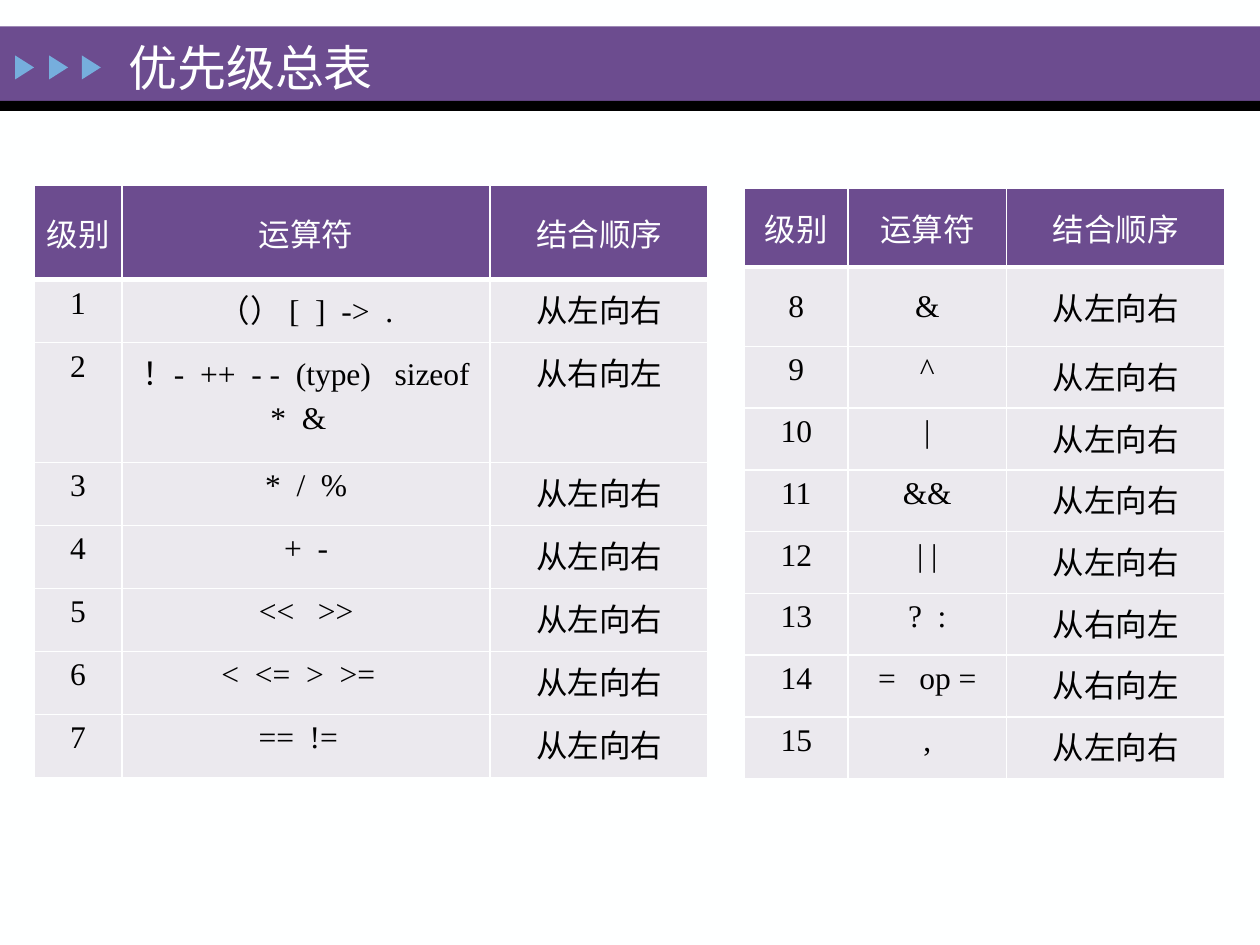
import pptx
import pptx.util
import pptx.dml.color
import pptx.enum.shapes
import pptx.enum.text
import pptx.oxml
import pptx.oxml.ns

Inches, Pt = pptx.util.Inches, pptx.util.Pt
MIDDLE = pptx.enum.text.MSO_ANCHOR.MIDDLE
TOP = pptx.enum.text.MSO_ANCHOR.TOP
SHAPES = pptx.enum.shapes.MSO_SHAPE

# Content
TITLE = "优先级总表"
HEADER = ("级别", "运算符", "结合顺序")
LEFT_TO_RIGHT, RIGHT_TO_LEFT = "从左向右", "从右向左"
TABLES = [
    {
        "at": (0.27, 1.47),
        "columns": (0.7, 2.92, 1.73),
        "heights": (0.75, 0.5, 0.95) + (0.5,) * 5,
        "middle_rows": 1,
        "rows": [
            ("1", "（） [  ]  ->  .", LEFT_TO_RIGHT),
            ("2", "！-  ++  - -  (type)   sizeof\n*  &  ", RIGHT_TO_LEFT),
            ("3", "*  /  %", LEFT_TO_RIGHT),
            ("4", "+  -", LEFT_TO_RIGHT),
            ("5", "<<   >>", LEFT_TO_RIGHT),
            ("6", "<  <=  >  >=  ", LEFT_TO_RIGHT),
            ("7", "==  !=  ", LEFT_TO_RIGHT),
        ],
    },
    {
        "at": (5.91, 1.49),
        "columns": (0.82, 1.26, 1.73),
        "heights": (0.63, 0.63) + (0.49,) * 7,
        "middle_rows": 2,
        "rows": [
            ("8", "&", LEFT_TO_RIGHT),
            ("9", "^", LEFT_TO_RIGHT),
            ("10", "|", LEFT_TO_RIGHT),
            ("11", "&&", LEFT_TO_RIGHT),
            ("12", "| |", LEFT_TO_RIGHT),
            ("13", "?  :", RIGHT_TO_LEFT),
            ("14", "=   op =", RIGHT_TO_LEFT),
            ("15", ",", LEFT_TO_RIGHT),
        ],
    },
]

# Style
FONT = "Times New Roman"
COLORS = {"white": "FEFFFF", "black": "000000", "purple": "6C4C8F",
          "blue": "76AEDD", "cell": "EBE9EE"}


def color(name):
    return pptx.dml.color.RGBColor.from_string(COLORS[name])


def set_font(paragraph, size, color_name):
    paragraph.font.name = FONT
    paragraph.font.size = Pt(size)
    paragraph.font.color.rgb = color(color_name)


def add_block(slide, kind, box, fill):
    shape = slide.shapes.add_shape(kind, *map(Inches, box))
    shape.shadow.inherit = False
    shape.fill.solid()
    shape.fill.fore_color.rgb = color(fill)
    shape.line.fill.background()
    return shape


def set_borders(cell, widths):
    properties = cell._tc.get_or_add_tcPr()
    for index, (side, width) in enumerate(widths.items()):
        properties.insert(index, pptx.oxml.parse_xml(
            f'<a:ln{side} {pptx.oxml.ns.nsdecls("a")} w="{Pt(width)}">'
            f'<a:solidFill><a:srgbClr val="{COLORS["white"]}"/></a:solidFill>'
            f'</a:ln{side}>'))


def fill_cell(cell, text, row_index, middle_rows):
    is_header = row_index == 0
    cell.text = text
    cell.vertical_anchor = MIDDLE if row_index < middle_rows else TOP
    for index, paragraph in enumerate(cell.text_frame.paragraphs):
        paragraph.alignment = pptx.enum.text.PP_ALIGN.CENTER
        set_font(paragraph, 18, "white" if is_header else "black")
        if index:
            paragraph.space_before = Pt(3.6)
    cell.fill.solid()
    cell.fill.fore_color.rgb = color("purple" if is_header else "cell")
    set_borders(cell, {"L": 1, "R": 1, "T": 3 if row_index == 1 else 1,
                       "B": 3 if is_header else 1})


def add_operator_table(slide, data):
    rows = [HEADER] + data["rows"]
    size = sum(data["columns"]), sum(data["heights"])
    table = slide.shapes.add_table(
        len(rows), len(HEADER), *map(Inches, data["at"] + size)).table
    for column, width in zip(table.columns, data["columns"]):
        column.width = Inches(width)
    for row_index, texts in enumerate(rows):
        table.rows[row_index].height = Inches(data["heights"][row_index])
        for column_index, text in enumerate(texts):
            fill_cell(table.cell(row_index, column_index), text,
                      row_index, data["middle_rows"])


def main():
    presentation = pptx.Presentation()
    presentation.slide_width, presentation.slide_height = Inches(10), Inches(7.5)
    slide = presentation.slides.add_slide(presentation.slide_layouts[6])
    slide.background.fill.solid()
    slide.background.fill.fore_color.rgb = color("white")

    # Title band with its arrow marks
    add_block(slide, SHAPES.RECTANGLE, (0, 0.21, 10, 0.59), "purple")
    add_block(slide, SHAPES.RECTANGLE, (0, 0.8, 10, 0.08), "black")
    for left in (0.1, 0.37, 0.63):
        arrow = add_block(slide, SHAPES.ISOSCELES_TRIANGLE,
                          (left, 0.46, 0.19, 0.15), "blue")
        arrow.rotation = 90

    # Title
    title = slide.shapes.add_textbox(*map(Inches, (0.92, 0.28, 7, 0.5))).text_frame
    title.word_wrap = True
    title.vertical_anchor = MIDDLE
    title.text = TITLE
    set_font(title.paragraphs[0], 28, "white")

    # Operator tables
    for data in TABLES:
        add_operator_table(slide, data)

    presentation.save("out.pptx")


if __name__ == "__main__":
    main()
